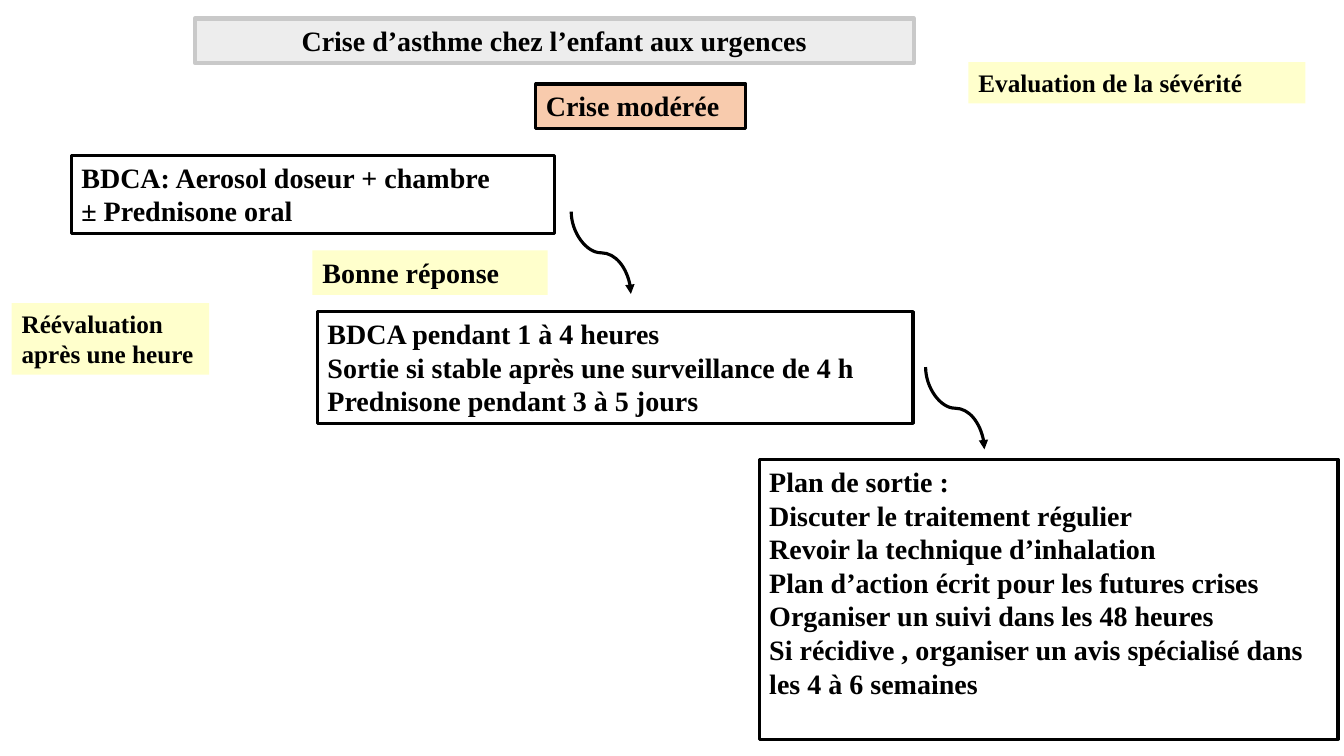
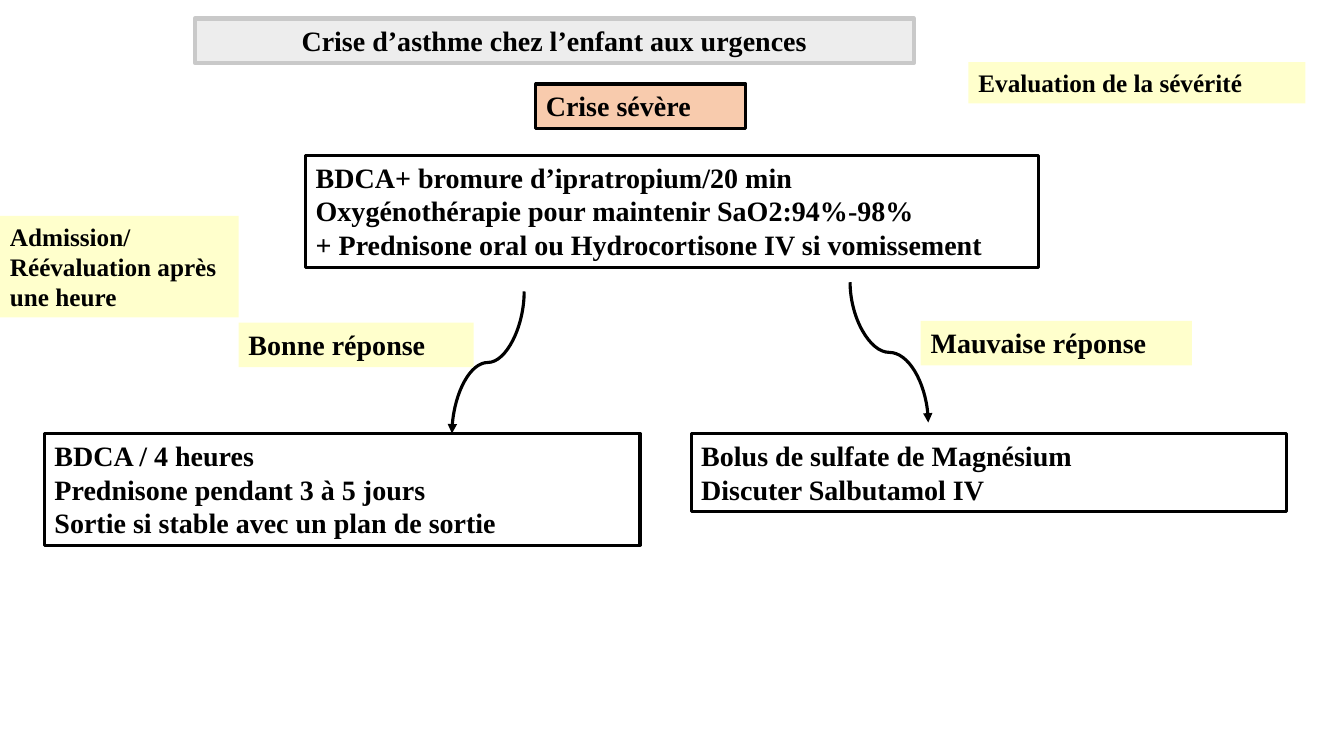
from dataclasses import dataclass
from typing import Optional, Union

from lxml import etree
from pptx import Presentation
from pptx.dml.color import RGBColor
from pptx.enum.shapes import MSO_CONNECTOR, MSO_SHAPE
from pptx.enum.text import MSO_ANCHOR, PP_ALIGN
from pptx.oxml.ns import qn
from pptx.slide import Slide
from pptx.util import Inches, Pt

RECTANGLE = MSO_SHAPE.RECTANGLE
CURVE = MSO_CONNECTOR.CURVE
TOP = MSO_ANCHOR.TOP
LEFT, CENTER = PP_ALIGN.LEFT, PP_ALIGN.CENTER

COLUMNS, ROWS = 16, 9
SLIDE_HEIGHT = Inches(7.5)
CELL = SLIDE_HEIGHT / ROWS
SLIDE_WIDTH = round(CELL * COLUMNS)

FONT = "Times New Roman"
BLACK = "000000"
TITLE_FILL, TITLE_BORDER = "EDEDED", "C9C9C9"
LABEL_FILL = "FFFFCC"
SEVERITY_FILL = "F8CBAD"

BODY_SIZE, NOTE_SIZE = 20, 18
LINE_ROWS = {BODY_SIZE: 0.4, NOTE_SIZE: 0.36}
PADDING_ROWS = 0.13
OUTLINE = 2.25
QUARTER_TURN = 90 * 60000


@dataclass(frozen=True)
class BoxStyle:
    fill: Optional[str] = None
    border: Optional[str] = None
    border_width: float = OUTLINE
    size: int = BODY_SIZE
    align: PP_ALIGN = LEFT


TITLE = BoxStyle(TITLE_FILL, TITLE_BORDER, border_width=3, align=CENTER)
SEVERITY = BoxStyle(SEVERITY_FILL, BLACK)
TREATMENT = BoxStyle(border=BLACK)
RESPONSE = BoxStyle(LABEL_FILL)
STAGE = BoxStyle(LABEL_FILL, size=NOTE_SIZE)


@dataclass(frozen=True)
class Box:
    style: BoxStyle
    column: float
    row: float
    columns: float
    paragraphs: tuple[str, ...]
    lines: Optional[int] = None


@dataclass(frozen=True)
class Arrow:
    from_column: float
    from_row: float
    to_column: float
    to_row: float


Step = Union[Box, Arrow]

HEADER = (
    Box(TITLE, 2.32, 0.22, 8.56, ("Crise d’asthme chez l’enfant aux urgences",)),
    Box(STAGE, 11.53, 0.74, 4.01, ("Evaluation de la sévérité",)),
)
TREATMENT_ROW = 1.85
OUTCOME_ROW = 5.16
OUTCOME_COLUMNS = 7.09
GOOD_RESPONSE_COLUMNS = 2.8

MODERATE_STEPS = (
    Box(TREATMENT, 0.85, TREATMENT_ROW, 5.75,
        ("BDCA: Aerosol doseur + chambre", "± Prednisone oral")),
    Box(STAGE, 0.14, 3.61, 2.35, ("Réévaluation après une heure",), lines=2),
    Box(RESPONSE, 3.72, 2.98, GOOD_RESPONSE_COLUMNS, ("Bonne réponse",)),
    Box(TREATMENT, 3.78, 3.71, OUTCOME_COLUMNS,
        ("BDCA pendant 1 à 4 heures",
         "Sortie si stable après une surveillance de 4 h",
         "Prednisone pendant 3 à 5 jours")),
    Box(TREATMENT, 9.04, 5.47, 6.89,
        ("Plan de sortie :",
         "Discuter le traitement régulier",
         "Revoir la technique d’inhalation",
         "Plan d’action écrit pour les futures crises",
         "Organiser un suivi dans les 48 heures",
         "Si récidive , organiser un avis spécialisé dans les 4 à 6 semaines"),
        lines=8),
    Arrow(6.8, 2.52, 7.51, 3.5),
    Arrow(11.02, 4.37, 11.72, 5.35),
)

SEVERE_STEPS = (
    Box(TREATMENT, 3.64, TREATMENT_ROW, 8.72,
        ("BDCA+ bromure d’ipratropium/20 min",
         "Oxygénothérapie pour maintenir SaO2:94%-98%",
         "+ Prednisone oral ou Hydrocortisone IV si vomissement")),
    Box(STAGE, 0, 2.57, 2.84, ("Admission/ Réévaluation après une heure",), lines=3),
    Box(RESPONSE, 2.84, 3.84, GOOD_RESPONSE_COLUMNS, ("Bonne réponse",)),
    Box(TREATMENT, 0.53, OUTCOME_ROW, OUTCOME_COLUMNS,
        ("BDCA / 4 heures",
         "Prednisone pendant 3 à 5 jours",
         "Sortie si stable avec un plan de sortie")),
    Arrow(6.24, 3.47, 5.38, OUTCOME_ROW),
    Arrow(10.12, 3.36, 11.05, 5.03),
    Box(RESPONSE, 10.96, 3.82, 3.23, ("Mauvaise réponse",)),
    Box(TREATMENT, 8.23, OUTCOME_ROW, OUTCOME_COLUMNS,
        ("Bolus de sulfate de Magnésium", "Discuter Salbutamol IV")),
)

SLIDES = (("Crise modérée", MODERATE_STEPS), ("Crise sévère", SEVERE_STEPS))


def color(value: str) -> RGBColor:
    return RGBColor.from_string(value)


def cells(count: float) -> int:
    return round(count * CELL)


def draw_box(slide: Slide, box: Box) -> None:
    style = box.style
    line_count = box.lines or len(box.paragraphs)
    rows = PADDING_ROWS + line_count * LINE_ROWS[style.size]
    shape = slide.shapes.add_shape(
        RECTANGLE, cells(box.column), cells(box.row), cells(box.columns), cells(rows))
    shape.shadow.inherit = False
    if style.fill:
        shape.fill.solid()
        shape.fill.fore_color.rgb = color(style.fill)
    else:
        shape.fill.background()
    if style.border:
        shape.line.color.rgb = color(style.border)
        shape.line.width = Pt(style.border_width)
    else:
        shape.line.fill.background()

    frame = shape.text_frame
    frame.word_wrap = True
    frame.vertical_anchor = TOP
    frame.text = "\n".join(box.paragraphs)
    for paragraph in frame.paragraphs:
        paragraph.alignment = style.align
        font = paragraph.font
        font.name = FONT
        font.size = Pt(style.size)
        font.bold = True
        font.color.rgb = color(BLACK)


def draw_arrow(slide: Slide, arrow: Arrow) -> None:
    middle_column = (arrow.from_column + arrow.to_column) / 2
    middle_row = (arrow.from_row + arrow.to_row) / 2
    half_drop = (arrow.to_row - arrow.from_row) / 2
    half_shift = abs(arrow.to_column - arrow.from_column) / 2
    connector = slide.shapes.add_connector(
        CURVE,
        cells(middle_column - half_drop), cells(middle_row - half_shift),
        cells(middle_column + half_drop), cells(middle_row + half_shift))
    connector.line.color.rgb = color(BLACK)
    connector.line.width = Pt(OUTLINE)

    properties = connector.element.spPr
    transform = properties.find(qn("a:xfrm"))
    if arrow.to_column > arrow.from_column:
        transform.set("rot", str(3 * QUARTER_TURN))
        transform.set("flipH", "1")
    else:
        transform.set("rot", str(QUARTER_TURN))
    etree.SubElement(properties.find(qn("a:ln")), qn("a:tailEnd"), type="triangle")
    etree.SubElement(properties, qn("a:effectLst"))


def draw_step(slide: Slide, step: Step) -> None:
    if isinstance(step, Box):
        draw_box(slide, step)
    else:
        draw_arrow(slide, step)


def main() -> None:
    presentation = Presentation()
    presentation.slide_width = SLIDE_WIDTH
    presentation.slide_height = SLIDE_HEIGHT
    blank = presentation.slide_layouts[6]
    for severity, steps in SLIDES:
        slide = presentation.slides.add_slide(blank)
        severity_box = Box(SEVERITY, 6.38, 1, 2.5, (severity,))
        for step in (*HEADER, severity_box, *steps):
            draw_step(slide, step)
    presentation.save("out.pptx")


if __name__ == "__main__":
    main()
